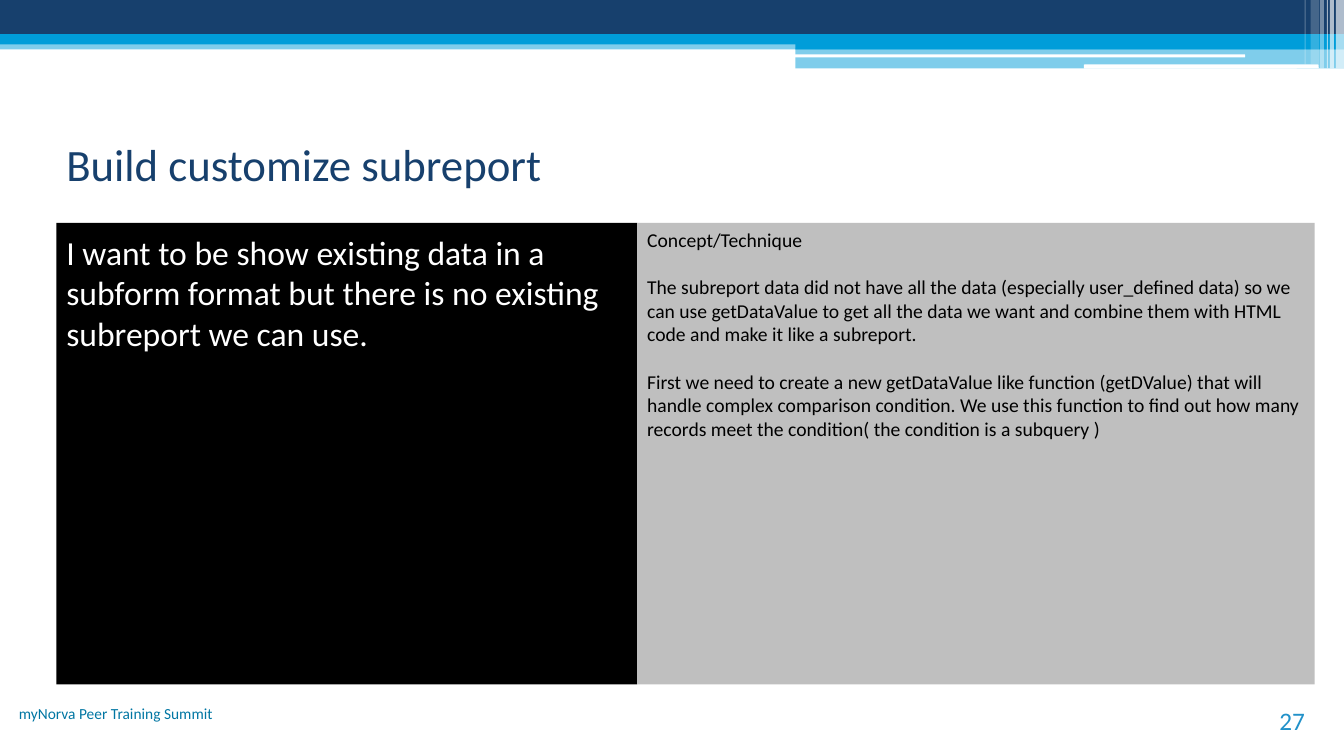
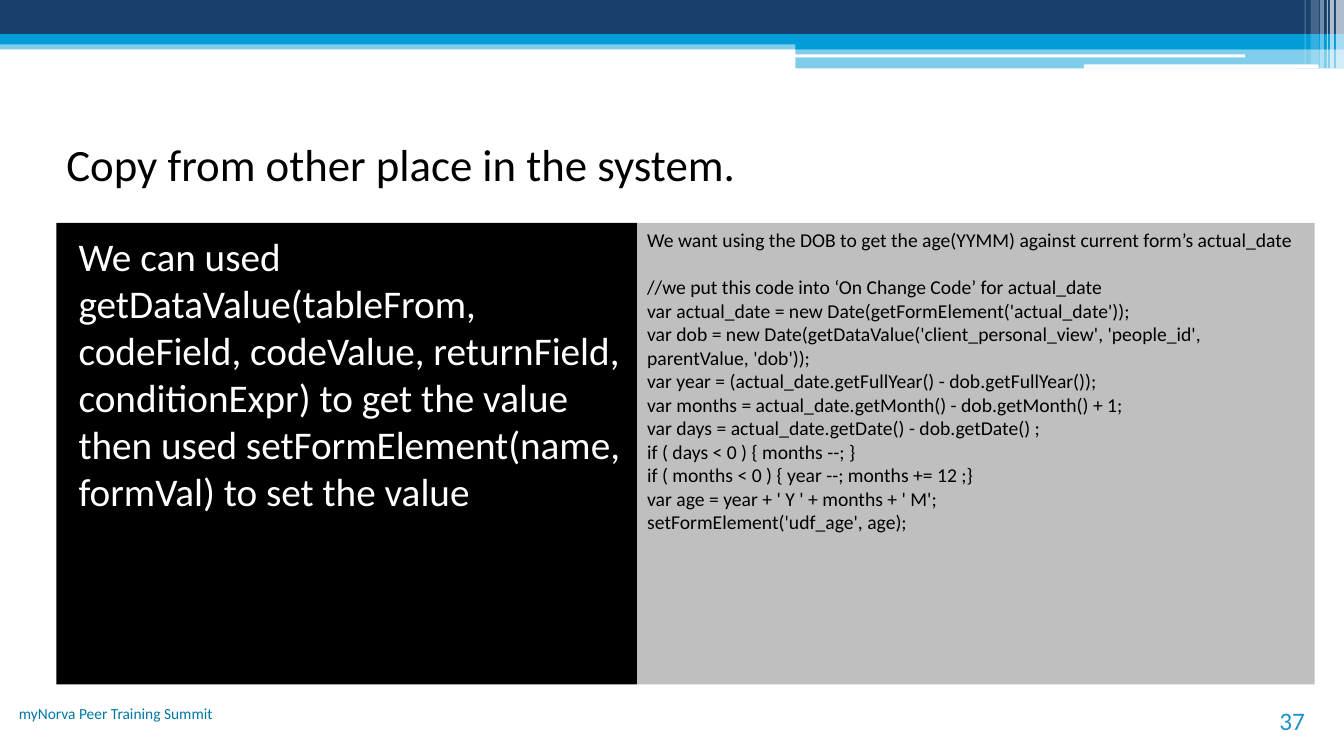
from pptx import Presentation
from pptx.dml.color import RGBColor
from pptx.enum.shapes import MSO_SHAPE as Shape
from pptx.enum.text import MSO_ANCHOR as Anchor, PP_ALIGN as Align
from pptx.oxml.ns import qn
from pptx.util import Inches, Pt
from lxml.etree import SubElement

FONT = "Calibri"
NAVY, BLUE, WHITE, BLACK, GRAY = "17406D", "009DD9", "FFFFFF", "000000", "BFBFBF"
FOOTER_COLOR, NUMBER_COLOR = "0076A3", "2191C9"
WIDTH, HEIGHT = 13.33, 7.5
BAND_LEFT = 7.89
PANEL_TOP, PANEL_HEIGHT = 2.21, 4.58
NOTE_SIZE, NOTE_GAP = 14, 17

# left, top, width, height, colour, opacity in percent
BANDS = [
    (0, 0.4, WIDTH, 0.09, BLUE, 50),
    (0, 0, WIDTH, 0.34, NAVY, 100),
    (0, 0.34, WIDTH, 0.1, BLUE, 100),
    (BAND_LEFT, 0.39, WIDTH - BAND_LEFT, 0.1, BLUE, 100),
    (BAND_LEFT, 0.48, WIDTH - BAND_LEFT, 0.2, BLUE, 50),
]
# left, top, width, height
GROOVES = [(7.88, 0.54, 4.47, 0.03), (10.75, 0.64, 2.33, 0.04)]
# left, width, height, opacity in percent
STRIPES = [
    (13.25, 0.08, 0.68, 65),
    (13.19, 0.04, 0.68, 65),
    (13.16, 0.01, 0.68, 60),
    (13.09, 0.04, 0.68, 40),
    (13, 0.08, 0.64, 20),
    (12.94, 0.01, 0.64, 30),
]

# Each note is a list of blocks; a gap separates the blocks.
SLIDES = [
    {
        "title": "Build customize subreport",
        "title_color": NAVY,
        "lead": "I want to be show existing data in a subform format but there is "
                "no existing subreport we can use.",
        "lead_size": 24,
        "lead_indent": 0,
        "note": [
            ["Concept/Technique"],
            ["The subreport data did not have all the data (especially user_defined data) "
             "so we can use getDataValue to get all the data we want and combine them with "
             "HTML code and make it like a subreport."],
            ["First we need to create a new getDataValue like function (getDValue) that will "
             "handle complex comparison condition. We use this function to find out how many "
             "records meet the condition( the condition is a subquery )"],
        ],
        "number": "27",
    },
    {
        "title": "Copy from other place in the system.",
        "title_color": BLACK,
        "lead": "We can used getDataValue(tableFrom, codeField, codeValue, returnField, "
                "conditionExpr) to get the value then used setFormElement(name, formVal) "
                "to set the value",
        "lead_size": 28,
        "lead_indent": 0.12,
        "note": [
            ["We want using the DOB to get the age(YYMM) against current form’s actual_date"],
            [
                "//we put this code into ‘On Change Code’ for actual_date",
                "var actual_date = new Date(getFormElement('actual_date'));",
                "var dob = new Date(getDataValue('client_personal_view', 'people_id', "
                "parentValue, 'dob'));",
                "var year = (actual_date.getFullYear() - dob.getFullYear());",
                "var months = actual_date.getMonth() - dob.getMonth() + 1;",
                "var days = actual_date.getDate() - dob.getDate() ;",
                "if ( days < 0 ) { months --; }",
                "if ( months < 0 ) { year --; months += 12 ;}",
                "var age = year + ' Y ' + months + ' M';",
                "setFormElement('udf_age', age);",
            ],
        ],
        "number": "37",
    },
]


def rgb(value):
    return RGBColor.from_string(value)


def add_block(slide, box, color, opacity=100, kind=Shape.RECTANGLE):
    block = slide.shapes.add_shape(kind, *map(Inches, box))
    block.shadow.inherit = False
    block.line.fill.background()
    block.fill.solid()
    block.fill.fore_color.rgb = rgb(color)
    if opacity < 100:
        tint = next(block.fill._xPr.iter(qn("a:srgbClr")))
        SubElement(tint, qn("a:alpha")).set("val", str(opacity * 1000))
    return block


def write(frame, blocks, size, color, align=Align.LEFT, anchor=Anchor.TOP, gap=0):
    """Fill a text frame with blocks of paragraphs, with a gap before each later block."""
    frame.word_wrap = True
    frame.vertical_anchor = anchor
    lines = [(line, gap if i and not j else 0)
             for i, block in enumerate(blocks) for j, line in enumerate(block)]
    for index, (line, before) in enumerate(lines):
        paragraph = frame.add_paragraph() if index else frame.paragraphs[0]
        paragraph.text = line
        paragraph.alignment = align
        paragraph.space_before = Pt(before)
        style = {"name": FONT, "size": Pt(size)}
        for key, value in style.items():
            setattr(paragraph.font, key, value)
        paragraph.font.color.rgb = rgb(color)


def add_label(slide, box, text, size, color, **layout):
    label = slide.shapes.add_textbox(*map(Inches, box))
    write(label.text_frame, [[text]], size, color, **layout)


def add_header(slide):
    for *box, color, opacity in BANDS:
        add_block(slide, box, color, opacity)
    for box in GROOVES:
        add_block(slide, box, WHITE, kind=Shape.ROUNDED_RECTANGLE)
    for left, width, height, opacity in STRIPES:
        add_block(slide, (left, 0, width, height), WHITE, opacity)


def add_lead(slide, text, size, indent):
    panel = add_block(slide, (0.56, PANEL_TOP, 5.76, PANEL_HEIGHT), BLACK)
    frame = panel.text_frame
    frame.margin_top = Inches(0.09)
    frame.margin_left = Inches(0.1 + indent)
    write(frame, [[text]], size, WHITE)


def add_note(slide, blocks):
    panel = add_block(slide, (6.32, PANEL_TOP, 6.72, PANEL_HEIGHT), GRAY)
    write(panel.text_frame, blocks, NOTE_SIZE, BLACK, gap=NOTE_GAP)


def add_footer(slide, number):
    add_label(slide, (0, 6.94, 2.21, 0.5), "myNorva Peer Training Summit", 11,
              FOOTER_COLOR, align=Align.RIGHT)
    add_label(slide, (11.93, 6.95, 1.11, 0.4), number, 18,
              NUMBER_COLOR, align=Align.RIGHT, anchor=Anchor.BOTTOM)


def main():
    deck = Presentation()
    deck.slide_width, deck.slide_height = Inches(WIDTH), Inches(HEIGHT)
    for content in SLIDES:
        slide = deck.slides.add_slide(deck.slide_layouts[6])
        add_header(slide)
        add_label(slide, (0.56, 1.04, 11.83, 1.17), content["title"], 32,
                  content["title_color"], anchor=Anchor.MIDDLE)
        add_lead(slide, content["lead"], content["lead_size"], content["lead_indent"])
        add_footer(slide, content["number"])
        add_note(slide, content["note"])
    deck.save("out.pptx")


if __name__ == "__main__":
    main()
